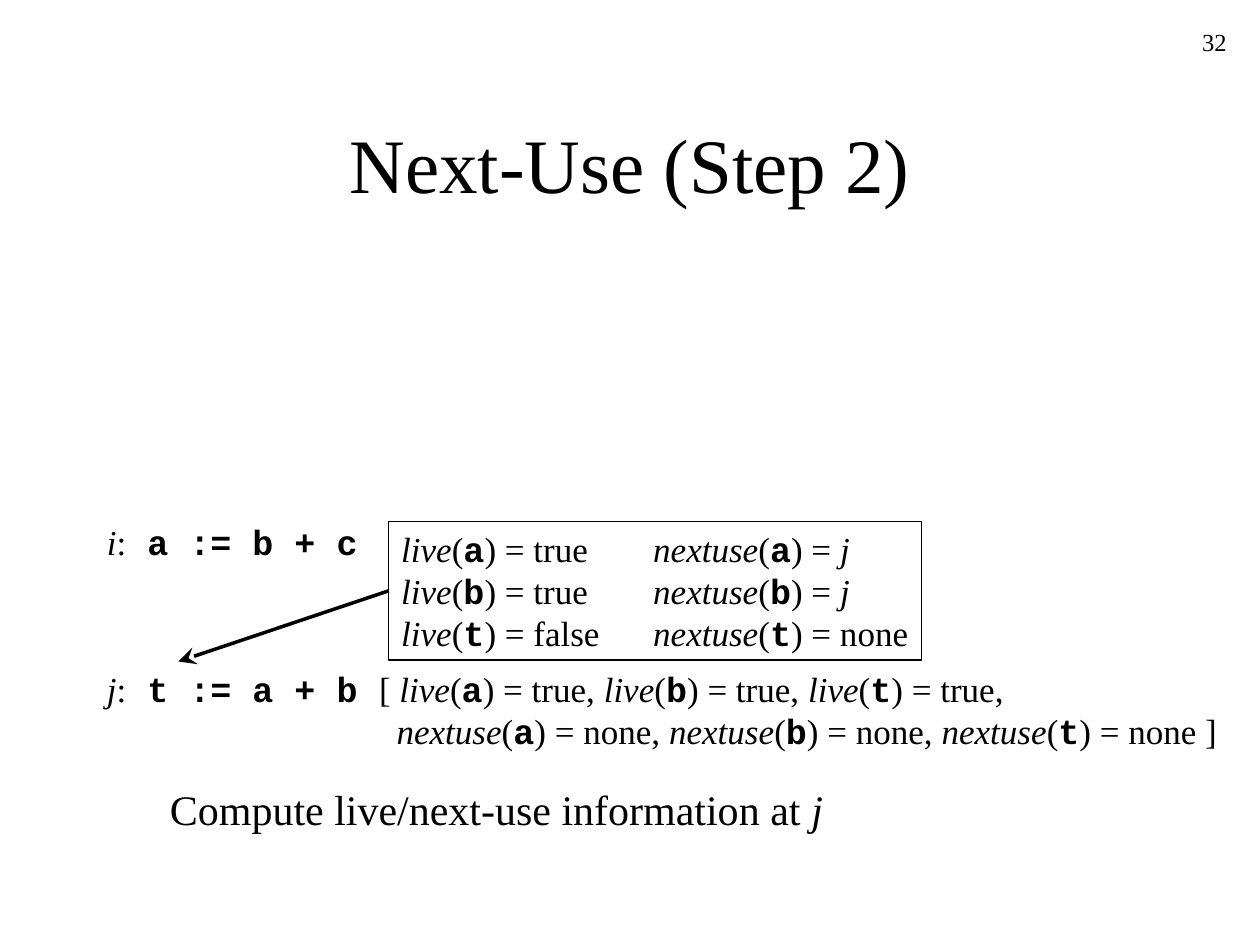
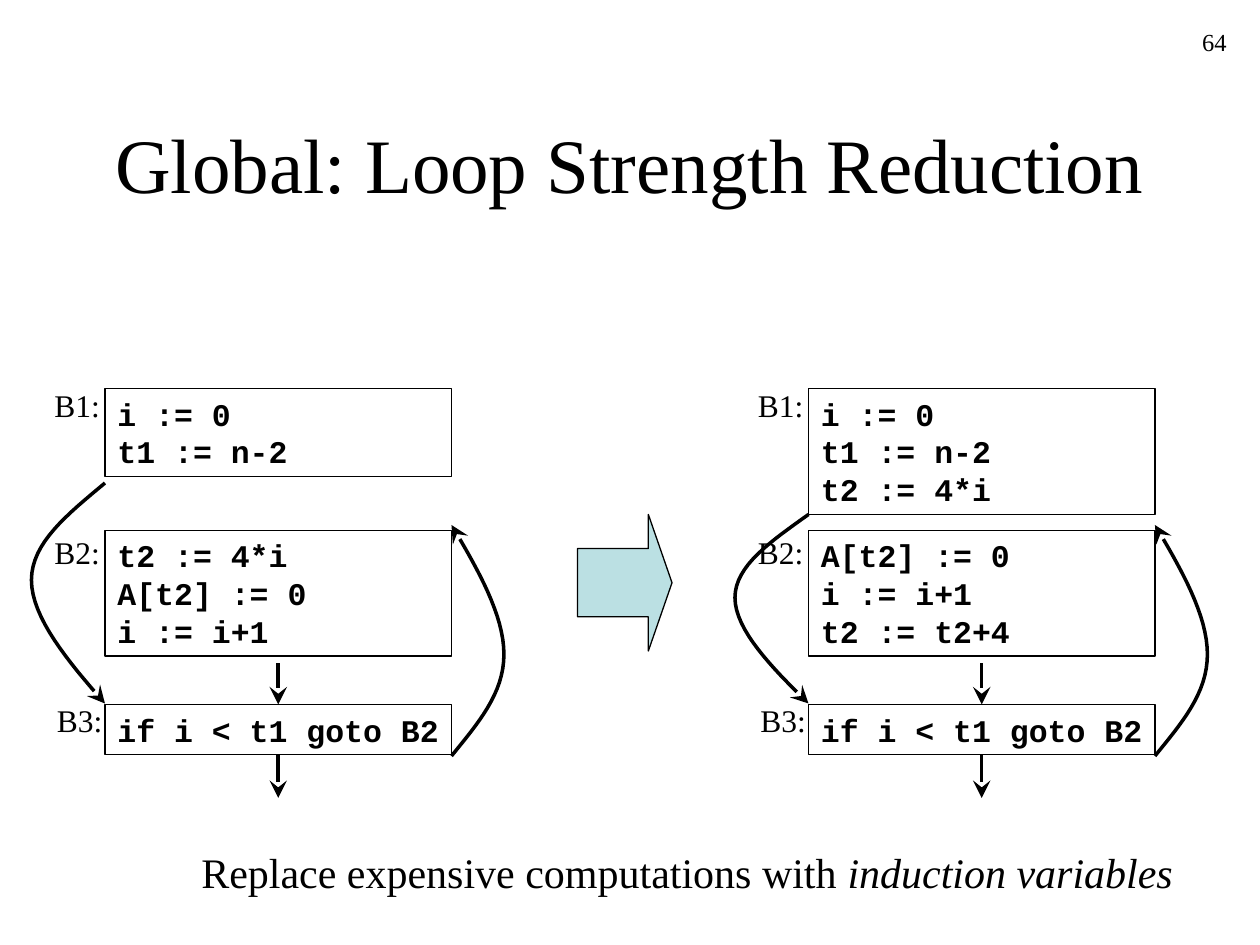
from dataclasses import dataclass
from typing import NamedTuple

from lxml import etree
from pptx import Presentation
from pptx.dml.color import RGBColor
from pptx.enum import shapes, text
from pptx.oxml import ns
from pptx.util import Pt


# Theme shared by both slides
@dataclass(frozen=True)
class Theme:
    ink: RGBColor = RGBColor(0x00, 0x00, 0x00)
    paper: RGBColor = RGBColor(0xFF, 0xFF, 0xFF)
    accent: RGBColor = RGBColor(0xBB, 0xE0, 0xE3)
    serif: str = "Times New Roman"
    mono: str = "Courier New"
    title_size: float = 44
    caption_size: float = 24
    statement_size: float = 20
    block_size: float = 18
    number_size: float = 14
    leading: float = 1.2
    outline: float = 0.75
    arrow: float = 2


THEME = Theme()
INSET_X, INSET_Y = 7.2, 3.6


class Area(NamedTuple):
    left: float
    top: float
    width: float
    height: float

    def points(self) -> list:
        return [Pt(length) for length in self]


class Point(NamedTuple):
    x: float
    y: float


@dataclass(frozen=True)
class Block:
    label: str
    top: float
    label_shift: Point  # from the block's top left corner
    code: list[str]

    @property
    def height(self) -> float:
        return (len(self.code) * THEME.block_size * THEME.leading
                + 2 * INSET_Y)


# Text: _italic_ and `code` are marked inside the string
def styled_pieces(line: str) -> list[tuple[str, bool, bool]]:
    pieces = []
    for c, chunk in enumerate(line.split("`")):
        parts = [chunk] if c % 2 else chunk.split("_")
        pieces += [(part, c % 2 == 1, i % 2 == 1)
                   for i, part in enumerate(parts) if part]
    return pieces


def add_tab_stop(paragraph, position: float) -> None:
    stops = etree.SubElement(paragraph._p.get_or_add_pPr(),
                             ns.qn("a:tabLst"))
    etree.SubElement(stops, ns.qn("a:tab"), pos=str(Pt(position)), algn="l")


def write(shape, lines: list[str], *, size: float, align=text.PP_ALIGN.LEFT,
          anchor=text.MSO_ANCHOR.TOP, wrap: bool = True, grow: bool = True,
          hanging: float = 0, tab: float = 0) -> None:
    frame = shape.text_frame
    frame.word_wrap = wrap
    frame.auto_size = (text.MSO_AUTO_SIZE.SHAPE_TO_FIT_TEXT if grow
                       else text.MSO_AUTO_SIZE.NONE)
    frame.vertical_anchor = anchor
    frame.margin_left = frame.margin_right = Pt(INSET_X)
    frame.margin_top = frame.margin_bottom = Pt(INSET_Y)
    for n, line in enumerate(lines):
        paragraph = frame.add_paragraph() if n else frame.paragraphs[0]
        paragraph.alignment = align
        if grow:
            paragraph.line_spacing = Pt(size * THEME.leading)
        if n and hanging:
            paragraph._p.get_or_add_pPr().set("marL", str(Pt(hanging)))
        if tab:
            add_tab_stop(paragraph, tab)
        for content, is_code, is_italic in styled_pieces(line):
            run = paragraph.add_run()
            run.text = content
            run.font.size = Pt(size)
            run.font.name = THEME.mono if is_code else THEME.serif
            run.font.bold = is_code
            run.font.italic = is_italic
            run.font.color.rgb = THEME.ink


def add_text(slide, area: Area, *lines: str, **style) -> None:
    write(slide.shapes.add_textbox(*area.points()), list(lines), **style)


# Shapes, arrows and curves
def add_outlined(slide, kind, area: Area, fill: RGBColor | None = None):
    shape = slide.shapes.add_shape(kind, *area.points())
    shape.shadow.inherit = False
    if fill is None:
        shape.fill.background()
    else:
        shape.fill.solid()
        shape.fill.fore_color.rgb = fill
    shape.line.color.rgb = THEME.ink
    shape.line.width = Pt(THEME.outline)
    return shape


def style_arrow(arrow) -> None:
    arrow.line.color.rgb = THEME.ink
    arrow.line.width = Pt(THEME.arrow)
    line = arrow.line._get_or_add_ln()
    etree.SubElement(line, ns.qn("a:tailEnd"), type="stealth",
                     w="lg", len="lg")


def add_arrow(slide, start: Point, end: Point):
    arrow = slide.shapes.add_connector(
        shapes.MSO_CONNECTOR.STRAIGHT, *map(Pt, start + end))
    style_arrow(arrow)
    etree.SubElement(arrow._element.spPr, ns.qn("a:effectLst"))
    return arrow


def bezier(a: float, b: float, c: float, d: float, t: float) -> float:
    s = 1 - t
    return s**3 * a + 3 * s * s * t * b + 3 * s * t * t * c + t**3 * d


def add_jump(slide, x: float, start_y: float, end_y: float,
             bulge: float) -> None:
    """Curved arrow that leaves and returns to x, swinging out by bulge."""
    steps = 16
    across = [(0, 0.5, 1, 1), (1, 1, 0.5, 0)]
    along = [(0, 0.14, 0.27, 0.44), (0.44, 0.61, 0.81, 1)]
    track = [(Pt(x + bulge * bezier(*across[half], n / steps)),
              Pt(start_y + (end_y - start_y)
                 * bezier(*along[half], n / steps)))
             for half in (0, 1) for n in range(1, steps + 1)]
    builder = slide.shapes.build_freeform(Pt(x), Pt(start_y))
    builder.add_line_segments(track, close=False)
    jump = builder.convert_to_shape()
    jump.shadow.inherit = False
    jump.fill.background()
    style_arrow(jump)


# Frame shared by the slides
def add_page(deck, title: str, number: int):
    slide = deck.slides.add_slide(deck.slide_layouts[6])
    slide.background.fill.solid()
    slide.background.fill.fore_color.rgb = THEME.paper
    add_text(slide, Area(54, 48, 612, 90), title, size=THEME.title_size,
             align=text.PP_ALIGN.CENTER, anchor=text.MSO_ANCHOR.MIDDLE,
             grow=False)
    add_text(slide, Area(558, 12, 150, 36), str(number),
             size=THEME.number_size, align=text.PP_ALIGN.RIGHT, grow=False)
    return slide


# Next-use slide
def build_next_use(deck) -> None:
    slide = add_page(deck, "Next-Use (Step 2)", 32)
    size = THEME.statement_size
    add_text(slide, Area(54, 294, 162, 31.2), "_i_:` a := b + c`", size=size)
    add_text(slide, Area(54, 378, 162, 31.2), "_j_:` t := a + b`", size=size)
    computed = add_outlined(slide, shapes.MSO_SHAPE.RECTANGLE,
                            Area(222.2, 298, 304.5, 79.2))
    facts = [("a", "true", "_j_"), ("b", "true", "_j_"),
             ("t", "false", "none")]
    write(computed, [f"_live_(`{name}`) = {live}\t_nextuse_(`{name}`) = {use}"
                     for name, live, use in facts],
          size=size, wrap=False, tab=144)
    to_statement = add_arrow(slide, Point(222, 342), Point(102, 378))
    to_statement.begin_connect(computed, 1)

    live = ", ".join(f"_live_(`{name}`) = true" for name in "abt")
    next_use = ", ".join(f"_nextuse_(`{name}`) = none" for name in "abt")
    add_text(slide, Area(209.5, 378, 500, 55.2), f"[ {live},",
             f"{next_use} ]", size=size, hanging=10)
    add_text(slide, Area(90, 444, 394, 36),
             "Compute live/next-use information at _j_",
             size=THEME.caption_size)


# Loop slide: one flow graph before and one after
def add_flow_graph(slide, left: float, blocks: list[Block],
                   skip_start: float) -> None:
    width = 198
    boxes = []
    for block in blocks:
        box = add_outlined(slide, shapes.MSO_SHAPE.RECTANGLE,
                           Area(left, block.top, width, block.height))
        write(box, [f"`{line}`" for line in block.code],
              size=THEME.block_size)
        boxes.append(box)

    test, middle = blocks[-1], left + width / 2
    add_jump(slide, left, skip_start, 402, -42)
    add_jump(slide, left + width, 432, 300, 30)
    enter_test = add_arrow(slide, Point(middle, 379), Point(middle, test.top))
    enter_test.end_connect(boxes[-1], 0)
    leave_loop = add_arrow(slide, Point(middle, 432), Point(middle, 456))
    leave_loop.begin_connect(boxes[-1], 2)

    for block in blocks:
        shift = block.label_shift
        add_text(slide, Area(left + shift.x, block.top + shift.y, 42, 28.8),
                 f"{block.label}:", size=THEME.block_size)


def loop_blocks(setup: list[str], body: list[str]) -> list[Block]:
    return [Block("B1", 222, Point(-36, -5), setup),
            Block("B2", 303, Point(-36, -2), body),
            Block("B3", 402.5, Point(-34.5, -5.2), ["if i < t1 goto B2"])]


def build_strength_reduction(deck) -> None:
    slide = add_page(deck, "Global: Loop Strength Reduction", 64)
    before = loop_blocks(["i := 0", "t1 := n-2"],
                         ["t2 := 4*i", "A[t2] := 0", "i := i+1"])
    after = loop_blocks(["i := 0", "t1 := n-2", "t2 := 4*i"],
                        ["A[t2] := 0", "i := i+1", "t2 := t2+4"])
    add_flow_graph(slide, 60, before, skip_start=276)
    add_flow_graph(slide, 462, after, skip_start=294)
    becomes = add_outlined(slide, shapes.MSO_SHAPE.RIGHT_ARROW,
                           Area(330, 294, 54, 78), THEME.accent)
    becomes.adjustments[0] = 0.5
    becomes.adjustments[1] = 0.25
    add_text(slide, Area(108, 480, 576, 36),
             "Replace expensive computations with _induction variables_",
             size=THEME.caption_size)


def main() -> None:
    deck = Presentation()
    deck.slide_width, deck.slide_height = Pt(720), Pt(540)
    build_next_use(deck)
    build_strength_reduction(deck)
    deck.save("out.pptx")


if __name__ == "__main__":
    main()
